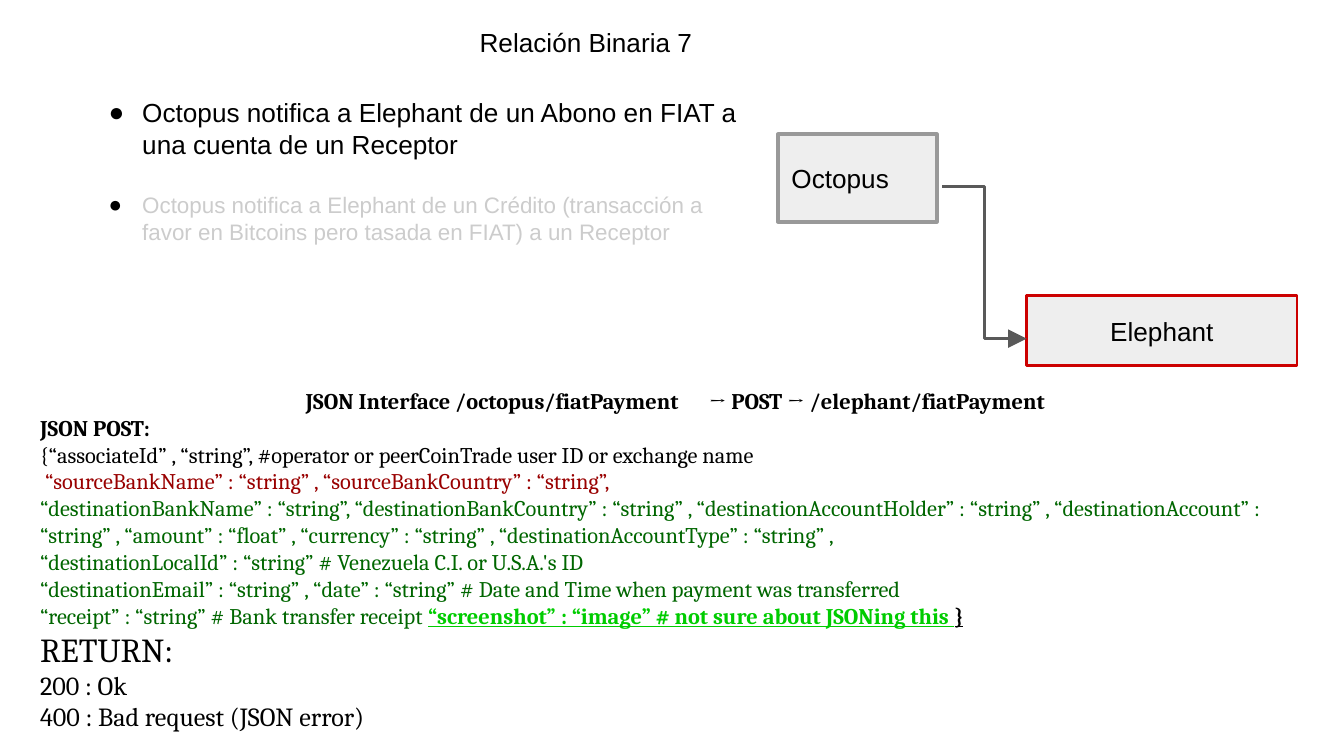
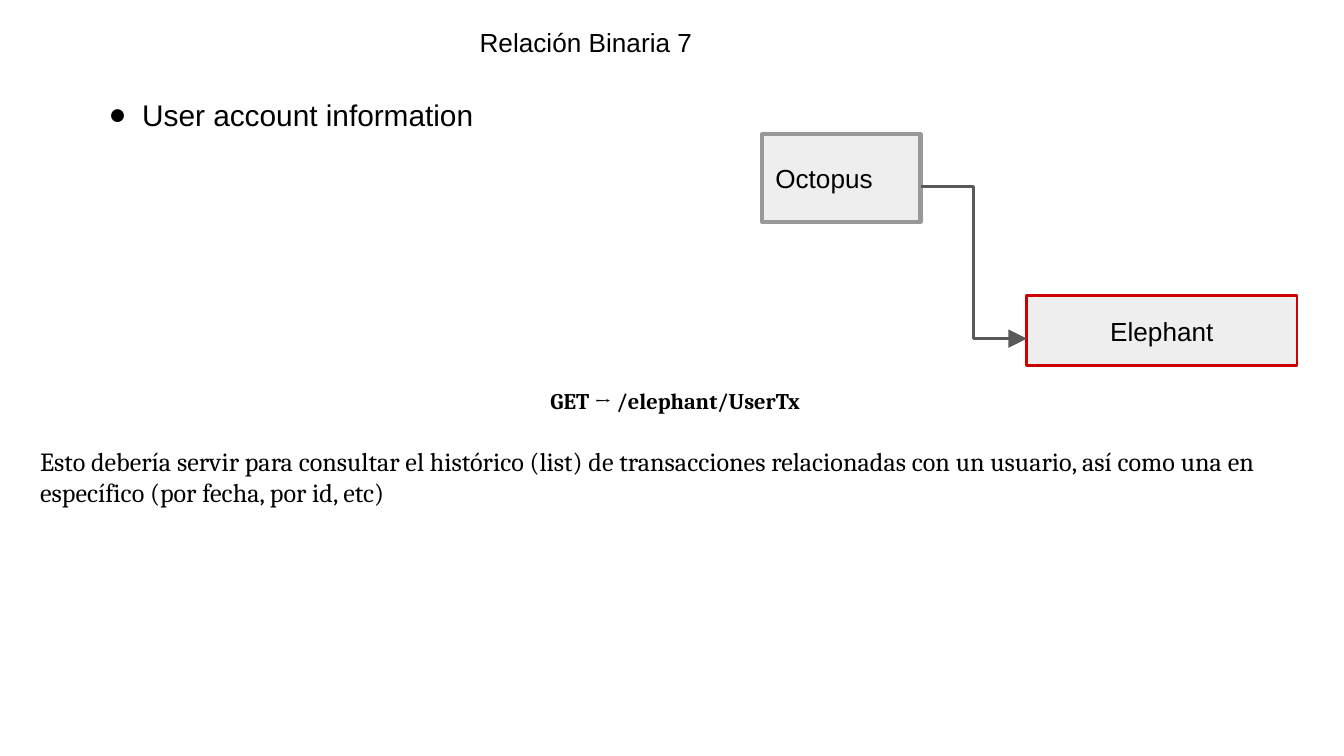
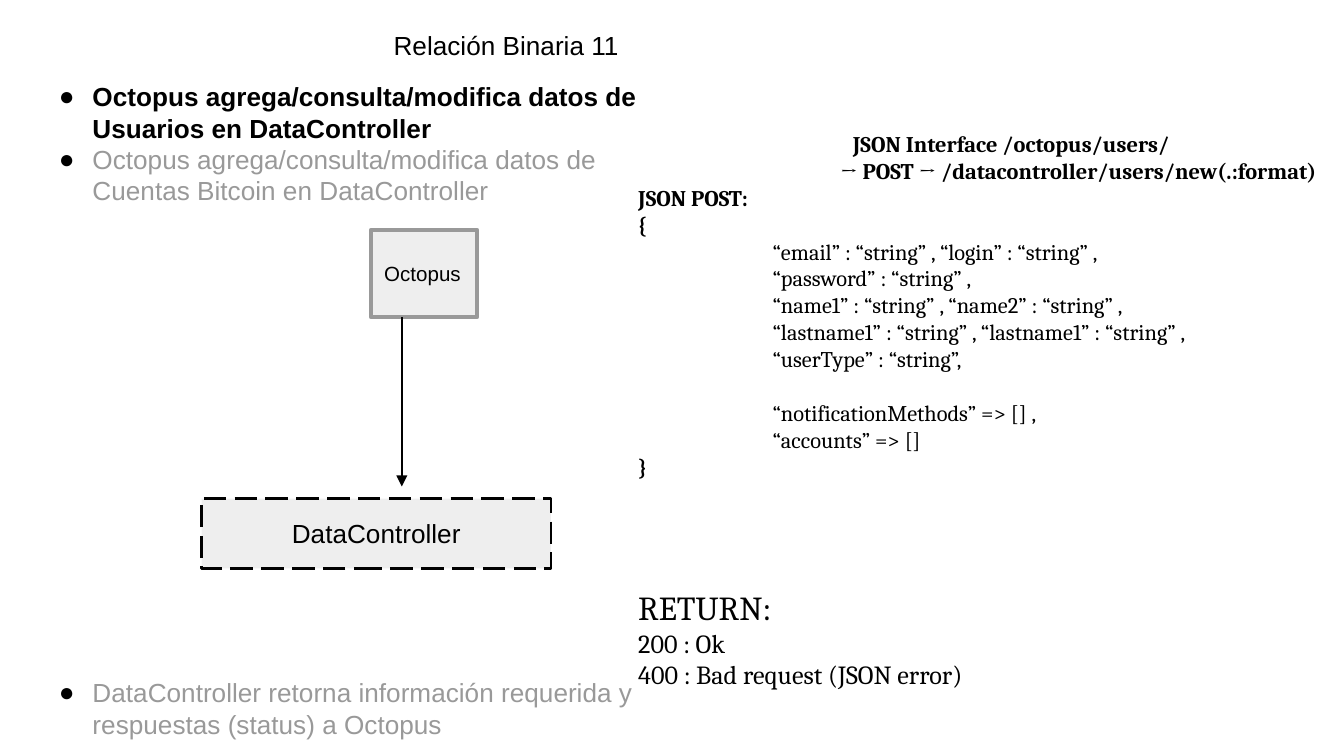
from lxml import etree
from pptx import Presentation, util as u
from pptx.dml.color import RGBColor
from pptx.enum import dml, shapes, text
from pptx.oxml.ns import qn

BLACK = RGBColor(0x00, 0x00, 0x00)
PANEL = RGBColor(0xEE, 0xEE, 0xEE)
GREY = RGBColor(0x99, 0x99, 0x99)
PALE = RGBColor(0xCC, 0xCC, 0xCC)
SLATE = RGBColor(0x59, 0x59, 0x59)
RED = RGBColor(0xCC, 0x00, 0x00)
MAROON = RGBColor(0x99, 0x00, 0x00)
GREEN = RGBColor(0x00, 0x66, 0x00)
LIME = RGBColor(0x00, 0xCC, 0x00)

WIDTH = 10
HEIGHT = WIDTH * 9 / 16
SANS, SERIF = "Arial", "Cambria"
LEADING = 1.2
CENTER = text.PP_ALIGN.CENTER

BOLD = dict(bold=True)
HEADING = dict(bold=True, align=CENTER)
CODE = dict(left=1)
RETURN_LINES = [
    ("200 : Ok", dict(size=14)),
    ("400 : Bad request (JSON error)", dict(size=14)),
]

PAYMENT_BULLETS = [
    ("Octopus notifica a Elephant de un Abono en FIAT a una cuenta de un Receptor", {}),
    ("Octopus notifica a Elephant de un Crédito (transacción a favor en Bitcoins pero tasada en FIAT) "
     "a un Receptor", dict(size=12, color=PALE, blank_above=[14])),
]
PAYMENT_INTERFACE = [
    ("JSON Interface /octopus/fiatPayment\t→ POST → /elephant/fiatPayment", HEADING),
    ("JSON POST:", BOLD),
    ("{“associateId” , “string”, #operator or peerCoinTrade user ID or exchange name", {}),
    (" “sourceBankName” : “string” , “sourceBankCountry” : “string”,", dict(color=MAROON)),
    ("“destinationBankName” : “string”, “destinationBankCountry” : “string” , "
     "“destinationAccountHolder” : “string” , “destinationAccount” : “string” , “amount” : “float” , "
     "“currency” : “string” , “destinationAccountType” : “string” ,", dict(color=GREEN)),
    ("“destinationLocalId” : “string” # Venezuela C.I. or U.S.A.'s ID", dict(color=GREEN)),
    ("“destinationEmail” : “string” , “date” : “string” # Date and Time when payment was transferred",
     dict(color=GREEN)),
    ([("“receipt” : “string” # Bank transfer receipt ", dict(color=GREEN)),
      ("“screenshot” : “image” # not sure about JSONing this ",
       dict(color=LIME, bold=True, underline=True)),
      ("}", dict(bold=True, underline=True))], {}),
    ("RETURN:", dict(size=18)),
    *RETURN_LINES,
]

ACCOUNT_BULLETS = [("User account information", dict(size=16))]
ACCOUNT_INTERFACE = [
    ("GET → /elephant/UserTx", HEADING),
    ("Esto debería servir para consultar el histórico (list) de transacciones relacionadas con un usuario, "
     "así como una en específico (por fecha, por id, etc)", dict(size=14, blank_above=[14])),
]

USER_BULLETS = [
    ("Octopus agrega/consulta/modifica datos de Usuarios en DataController", BOLD),
    ("Octopus agrega/consulta/modifica datos de Cuentas Bitcoin en DataController", dict(color=GREY)),
    ("DataController retorna información requerida y respuestas (status) a Octopus",
     dict(color=GREY, blank_above=[14] * 15)),
]
USER_INTERFACE = [
    ("JSON Interface /octopus/users/", HEADING),
    ("→ POST → /datacontroller/users/new(.:format)", dict(HEADING, left=1)),
    ("JSON POST:", BOLD),
    ("{", BOLD),
    ("“email” : “string” , “login” : “string” ,", CODE),
    ("“password” : “string” ,", CODE),
    ("“name1” : “string” , “name2” : “string” ,", CODE),
    ("“lastname1” : “string” , “lastname1” : “string” ,", CODE),
    ("“userType” : “string”,", CODE),
    ("“notificationMethods” => [] ,", dict(CODE, blank_above=[12])),
    ("“accounts” => []", CODE),
    ("}", BOLD),
    ("RETURN:", dict(size=18, blank_above=[12, 18, 18])),
    *RETURN_LINES,
]

RELATION_SLIDES = [
    dict(bullets=PAYMENT_BULLETS, interface=PAYMENT_INTERFACE, octopus_left=5.79, arrow_left=7.01),
    dict(bullets=ACCOUNT_BULLETS, interface=ACCOUNT_INTERFACE, octopus_left=5.67, arrow_left=6.85),
]


def inches(values):
    return [u.Inches(value) for value in values]


def add_bullet(paragraph):
    properties = paragraph._p.get_or_add_pPr()
    properties.set("marL", str(u.Inches(0.5)))
    properties.set("indent", str(u.Inches(-0.25)))
    color = etree.SubElement(properties, qn("a:buClr"))
    etree.SubElement(color, qn("a:srgbClr"), val=str(BLACK))
    etree.SubElement(properties, qn("a:buFont"), typeface=SANS)
    etree.SubElement(properties, qn("a:buChar"), char="●")


def write_paragraph(paragraph, content, font=SANS, size=14, color=BLACK, bold=False, underline=False,
                    align=text.PP_ALIGN.LEFT, left=0, blank_above=(), bullet=False):
    paragraph.alignment = align
    paragraph.line_spacing = u.Pt(size * LEADING)
    paragraph.space_before = u.Pt(sum(blank_above) * LEADING)
    if left:
        paragraph._p.get_or_add_pPr().set("marL", str(u.Inches(left)))
    if bullet:
        add_bullet(paragraph)
    runs = [(content, {})] if isinstance(content, str) else content
    for words, change in runs:
        run = paragraph.add_run()
        run.text = words
        run.font.name = font
        run.font.size = u.Pt(size)
        run.font.color.rgb = change.get("color", color)
        run.font.bold = change.get("bold", bold)
        run.font.underline = change.get("underline", underline)


def fill_frame(frame, paragraphs, margin=0.1, **shared):
    frame.word_wrap = True
    frame.margin_left = frame.margin_right = u.Inches(0.1)
    frame.margin_top = frame.margin_bottom = u.Inches(margin)
    for index, (content, change) in enumerate(paragraphs):
        paragraph = frame.add_paragraph() if index else frame.paragraphs[0]
        write_paragraph(paragraph, content, **{**shared, **change})


def add_text(slide, area, paragraphs, **shared):
    fill_frame(slide.shapes.add_textbox(*inches(area)).text_frame, paragraphs, **shared)


def add_title(slide, left, top, title):
    add_text(slide, (left, top, 3.15, 0.4), [(title, {})])


def add_interface(slide, area, lines):
    add_text(slide, area, lines, margin=0.05, font=SERIF, size=12)


def add_box(slide, area, label, outline, weight=1.5, dashed=False, **style):
    box = slide.shapes.add_shape(shapes.MSO_SHAPE.RECTANGLE, *inches(area))
    box.shadow.inherit = False
    box.fill.solid()
    box.fill.fore_color.rgb = PANEL
    box.line.color.rgb = outline
    box.line.width = u.Pt(weight)
    if dashed:
        box.line.dash_style = dml.MSO_LINE.LONG_DASH
    box.text_frame.vertical_anchor = text.MSO_ANCHOR.MIDDLE
    fill_frame(box.text_frame, [(label, style)])


def add_octopus(slide, left, top, width, **style):
    add_box(slide, (left, top, width, 0.65), "Octopus", GREY, weight=2.25, **style)


def add_arrow(slide, kind, ends, color, weight, head="med"):
    arrow = slide.shapes.add_connector(kind, *inches(ends))
    arrow.line.color.rgb = color
    arrow.line.width = u.Pt(weight)
    etree.SubElement(arrow.line._get_or_add_ln(), qn("a:tailEnd"), type="triangle", w=head, len=head)
    etree.SubElement(arrow._element.spPr, qn("a:effectLst"))


def build_relation(slide, bullets, interface, octopus_left, arrow_left):
    elephant_left = 7.64
    add_title(slide, 3.47, 0.1, "Relación Binaria 7")
    add_box(slide, (elephant_left, 2.2, 2.01, 0.52), "Elephant", RED, align=CENTER)
    add_octopus(slide, octopus_left, 1, 1.18)
    add_arrow(slide, shapes.MSO_CONNECTOR.ELBOW, (arrow_left, 1.39, elephant_left, 2.52), SLATE, 1.5,
              head="lg")
    add_text(slide, (0.46, 0.62, 5.29, 1.49), bullets, bullet=True)
    add_interface(slide, (0.2, 2.83, 9.65, 2.6), interface)


def build_users(slide):
    add_box(slide, (1.5, 3.71, 2.6, 0.52), "DataController", BLACK, dashed=True, align=CENTER)
    add_octopus(slide, 2.76, 1.71, 0.79, size=11)
    add_arrow(slide, shapes.MSO_CONNECTOR.STRAIGHT, (2.99, 2.36, 2.99, 3.62), BLACK, 1)
    add_title(slide, 2.83, 0.12, "Relación Binaria 11")
    add_text(slide, (0.09, 0.5, 5.16, 4.19), USER_BULLETS, bullet=True)
    add_interface(slide, (4.65, 0.92, 5.75, 4.17), USER_INTERFACE)


def main():
    presentation = Presentation()
    presentation.slide_width, presentation.slide_height = inches((WIDTH, HEIGHT))
    blank = presentation.slide_layouts[6]
    for relation in RELATION_SLIDES:
        build_relation(presentation.slides.add_slide(blank), **relation)
    build_users(presentation.slides.add_slide(blank))
    presentation.save("out.pptx")


if __name__ == "__main__":
    main()
